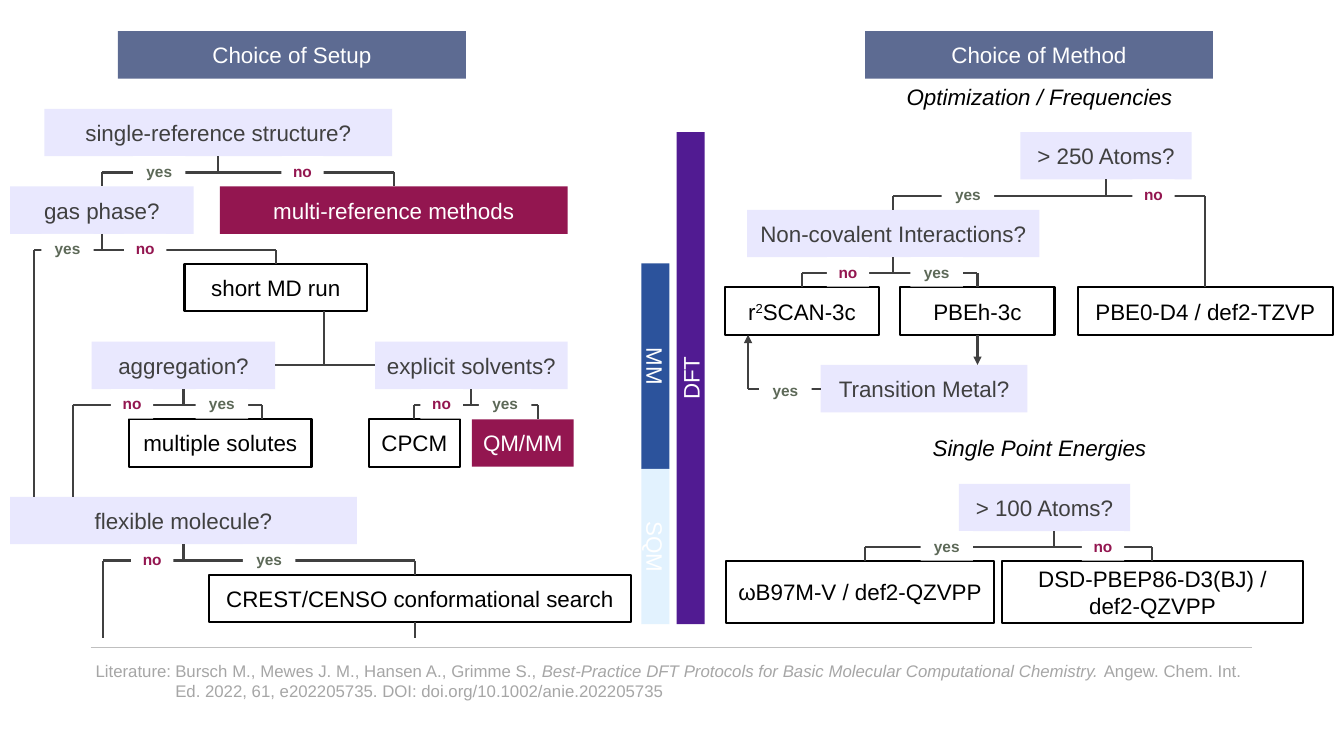
import lxml.etree
import pptx
import pptx.dml.color
import pptx.enum.shapes
import pptx.enum.text
import pptx.oxml.ns
import pptx.util

COLUMN = pptx.util.Inches(0.1)
ROW = pptx.util.Inches(0.77)
TOP = pptx.util.Inches(0.31)
BOX_ROWS = 0.61
LABEL_ROWS = 0.38
BUS_OFFSET = 0.82
BAR_ROWS = 0.36

COLORS = {
    "white": "FFFFFF", "black": "000000", "slate": "5D6B92", "lilac": "E9E8FE",
    "wine": "931650", "blue": "2C539C", "ice": "E2F2FE", "violet": "511B92",
    "line": "404040", "green": "5D6958", "rule": "BFBFBF", "gray": "A6A6A6",
}
STYLES = {
    "header": {"fill": "slate", "ink": "white"},
    "question": {"fill": "lilac", "ink": "line"},
    "result": {"fill": "white", "edge": "black"},
    "special": {"fill": "wine", "ink": "white"},
}

deck = pptx.Presentation()
deck.slide_width = pptx.util.Inches(13.33)
deck.slide_height = pptx.util.Inches(7.5)
page = deck.slides.add_slide(deck.slide_layouts[6])
nodes = []


def write(text, left, row, width, rows=BOX_ROWS, fill=None, edge=None, ink="black",
          size=16, bold=False, italic=False, align="CENTER", anchor="MIDDLE"):
    place = [int(left * COLUMN), int(TOP + row * ROW), int(width * COLUMN), int(rows * ROW)]
    if fill:
        box = page.shapes.add_shape(pptx.enum.shapes.MSO_SHAPE.RECTANGLE, *place)
        box.shadow.inherit = False
        box.fill.solid()
        box.fill.fore_color.rgb = pptx.dml.color.RGBColor.from_string(COLORS[fill])
        if edge:
            box.line.color.rgb = pptx.dml.color.RGBColor.from_string(COLORS[edge])
            box.line.width = pptx.util.Pt(1.5)
        else:
            box.line.fill.background()
    else:
        box = page.shapes.add_textbox(*place)
    box.text_frame.word_wrap = True
    box.text_frame.vertical_anchor = pptx.enum.text.MSO_ANCHOR[anchor]
    para = box.text_frame.paragraphs[0]
    para.alignment = pptx.enum.text.PP_ALIGN[align]
    for piece in [text] if isinstance(text, str) else text:
        span = para.add_run()
        span.text = piece
        span.font.name = "Arial"
        span.font.size = pptx.util.Pt(size)
        span.font.bold = bold
        span.font.italic = italic
        span.font.color.rgb = pptx.dml.color.RGBColor.from_string(COLORS[ink])
    return box


def connect(x1, row1, x2, row2, color="line", weight=1.5, arrow=False):
    ends = [(int(x * COLUMN), int(TOP + row * ROW)) for x, row in ((x1, row1), (x2, row2))]
    link = page.shapes.add_connector(
        pptx.enum.shapes.MSO_CONNECTOR.STRAIGHT, *ends[0], *ends[1])
    link.line.color.rgb = pptx.dml.color.RGBColor.from_string(COLORS[color])
    link.line.width = pptx.util.Pt(weight)
    if arrow:
        lxml.etree.SubElement(link.line._get_or_add_ln(),
                              pptx.oxml.ns.qn("a:tailEnd"), type="triangle")
    lxml.etree.SubElement(link._element.spPr, pptx.oxml.ns.qn("a:effectLst"))
    for (x, y), join in zip(ends, (link.begin_connect, link.end_connect)):
        for node in nodes:
            middle = node.left + node.width // 2
            center = node.top + node.height // 2
            sites = [(middle, node.top), (node.left, center),
                     (middle, node.top + node.height), (node.left + node.width, center)]
            for site, (site_x, site_y) in enumerate(sites):
                if max(abs(x - site_x), abs(y - site_y)) < pptx.util.Inches(0.01):
                    join(node, site)


for text, left, row, width, rows, style in [
    ("Choice of Setup", 11.7, 0, 34.5, BOX_ROWS, "header"),
    ("Choice of Method", 85.8, 0, 34.5, BOX_ROWS, "header"),
    ("single-reference structure?", 4.4, 1, 34.5, BOX_ROWS, "question"),
    ("gas phase?", 1, 2, 18.2, BOX_ROWS, "question"),
    ("multi-reference methods", 21.8, 2, 34.5, BOX_ROWS, "special"),
    ("short MD run", 18.3, 3, 18.1, BOX_ROWS, "result"),
    ("aggregation?", 9.1, 4, 18.2, BOX_ROWS, "question"),
    ("explicit solvents?", 37.2, 4, 19.1, BOX_ROWS, "question"),
    ("multiple solutes", 12.8, 5, 18.1, BOX_ROWS, "result"),
    ("CPCM", 36.6, 5, 9, BOX_ROWS, "result"),
    ("QM/MM", 46.8, 5, 10.1, BOX_ROWS, "special"),
    ("flexible molecule?", 1, 6, 34.4, BOX_ROWS, "question"),
    ("CREST/CENSO conformational search", 20.7, 7, 41.9, BOX_ROWS, "result"),
    ("> 250 Atoms?", 101.2, 1.3, 17, BOX_ROWS, "question"),
    ("Non-covalent Interactions?", 74.1, 2.3, 29, BOX_ROWS, "question"),
    (["r", "2", "SCAN-3c"], 71.9, 3.3, 15.3, BOX_ROWS, "result"),
    ("PBEh-3c", 89.3, 3.3, 15.3, BOX_ROWS, "result"),
    ("PBE0-D4 / def2-TZVP", 106.9, 3.3, 25.3, BOX_ROWS, "result"),
    ("Transition Metal?", 81.4, 4.3, 20.5, BOX_ROWS, "question"),
    ("> 100 Atoms?", 95.1, 5.83, 17, BOX_ROWS, "question"),
    ("ωB97M-V / def2-QZVPP", 72, 6.83, 26.6, 0.79, "result"),
    ("DSD-PBEP86-D3(BJ) / def2-QZVPP", 99.4, 6.83, 29.8, 0.79, "result"),
]:
    node = write(text, left, row, width, rows, **STYLES[style])
    nodes.append(node)
    if isinstance(text, list):
        node.text_frame.paragraphs[0].runs[1]._r.get_or_add_rPr().set("baseline", "30000")

for text, row in [("Optimization / Frequencies", 0.6), ("Single Point Energies", 5.13)]:
    write(text, 85, row, 36.2, 0.48, italic=True, anchor="TOP")

for text, center, start, end, fill, angle in [
    ("MM", 65, 2.99, 5.64, "blue", 90),
    ("SQM", 65, 5.64, 7.64, "ice", 90),
    ("DFT", 68.5, 1.3, 7.64, "violet", 270),
]:
    length = (end - start) * ROW / COLUMN
    bar = write(text, center - length / 2, (start + end - BAR_ROWS) / 2, length, BAR_ROWS,
                fill=fill, ink="white")
    bar.rotation = angle

labels = [("yes", 75.3, 4.43)]
for row, stem, left, left_end, right, right_end, yes, no in [
    (1, 21.65, 10.1, 2, 39.05, 2, 13.2, 27.9),
    (2, 10.1, 3.4, 6, 27.35, 3, 4.1, 12.3),
    (4, 18.2, 7.2, 6, 26, 5, 19.4, 11),
    (4, 46.75, 41.1, 5, 53.4, 5, 47.5, 41.7),
    (6, 18.2, 10.2, 7.82, 41.2, 7, 24.1, 13),
    (1.3, 109.7, 88.6, 2.3, 119.55, 3.3, 93.4, 112.3),
    (2.3, 88.6, 79.55, 3.3, 96.95, 3.3, 90.3, 82),
    (5.83, 104.5, 85.8, 6.83, 114.3, 6.83, 91.3, 107.3),
]:
    bus = row + BUS_OFFSET
    connect(stem, row + BOX_ROWS, stem, bus)
    connect(left, bus, right, bus)
    connect(left, bus, left, left_end)
    connect(right, bus, right, right_end)
    labels += [("yes", yes, row + BOX_ROWS), ("no", no, row + BOX_ROWS)]

side = BOX_ROWS / 2
connect(27.3, 4 + side, 37.2, 4 + side)
connect(32.1, 3 + BOX_ROWS, 32.1, 4 + side)
connect(41.2, 7 + BOX_ROWS, 41.2, 7.82)
connect(96.95, 3.3 + BOX_ROWS, 96.95, 4.3, arrow=True)
connect(81.4, 4.3 + side, 74.2, 4.3 + side)
connect(74.2, 4.3 + side, 74.2, 3.3 + BOX_ROWS, arrow=True)

for text, left, row in labels:
    width, ink = (5.2, "green") if text == "yes" else (4.2, "wine")
    write(text, left, row, width, LABEL_ROWS, fill="white", ink=ink, size=11, bold=True)

connect(9, 7.94, 124.2, 7.94, color="rule", weight=1)
literature = write(
    ["Literature:\tBursch M., Mewes J. M., Hansen A., Grimme S., ",
     "Best-Practice DFT Protocols for Basic Molecular Computational Chemistry. ",
     "Angew. Chem. Int. Ed. 2022, 61, e202205735. DOI: doi.org/10.1002/anie.202205735"],
    8.5, 8.04, 115.6, 0.65, ink="gray", size=12, align="JUSTIFY", anchor="TOP")
entry = literature.text_frame.paragraphs[0]
entry.runs[1].font.italic = True
hanging = pptx.util.Inches(0.79)
entry._p.get_or_add_pPr().set("marL", str(hanging))
entry._p.get_or_add_pPr().set("indent", str(-hanging))

deck.save("out.pptx")
